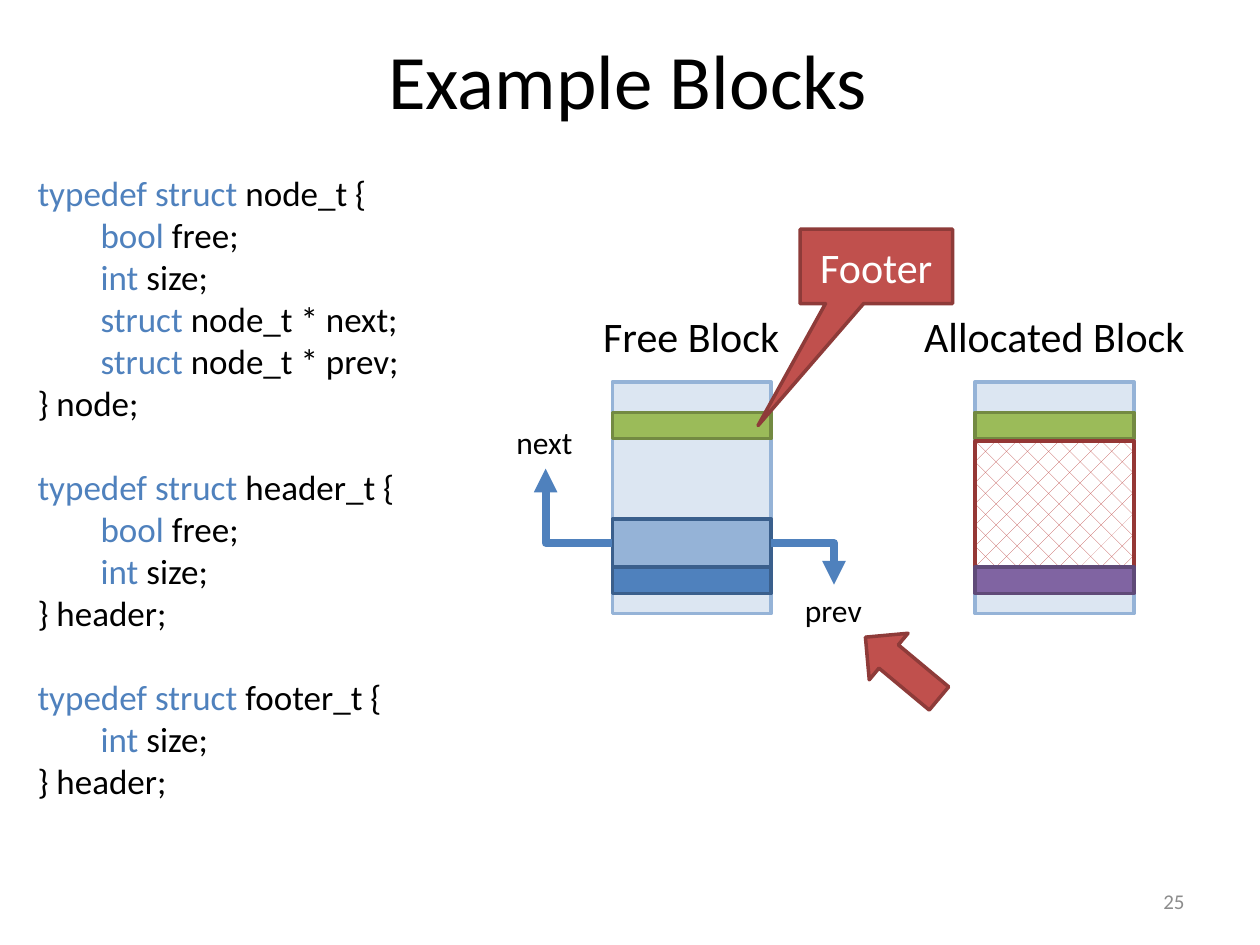
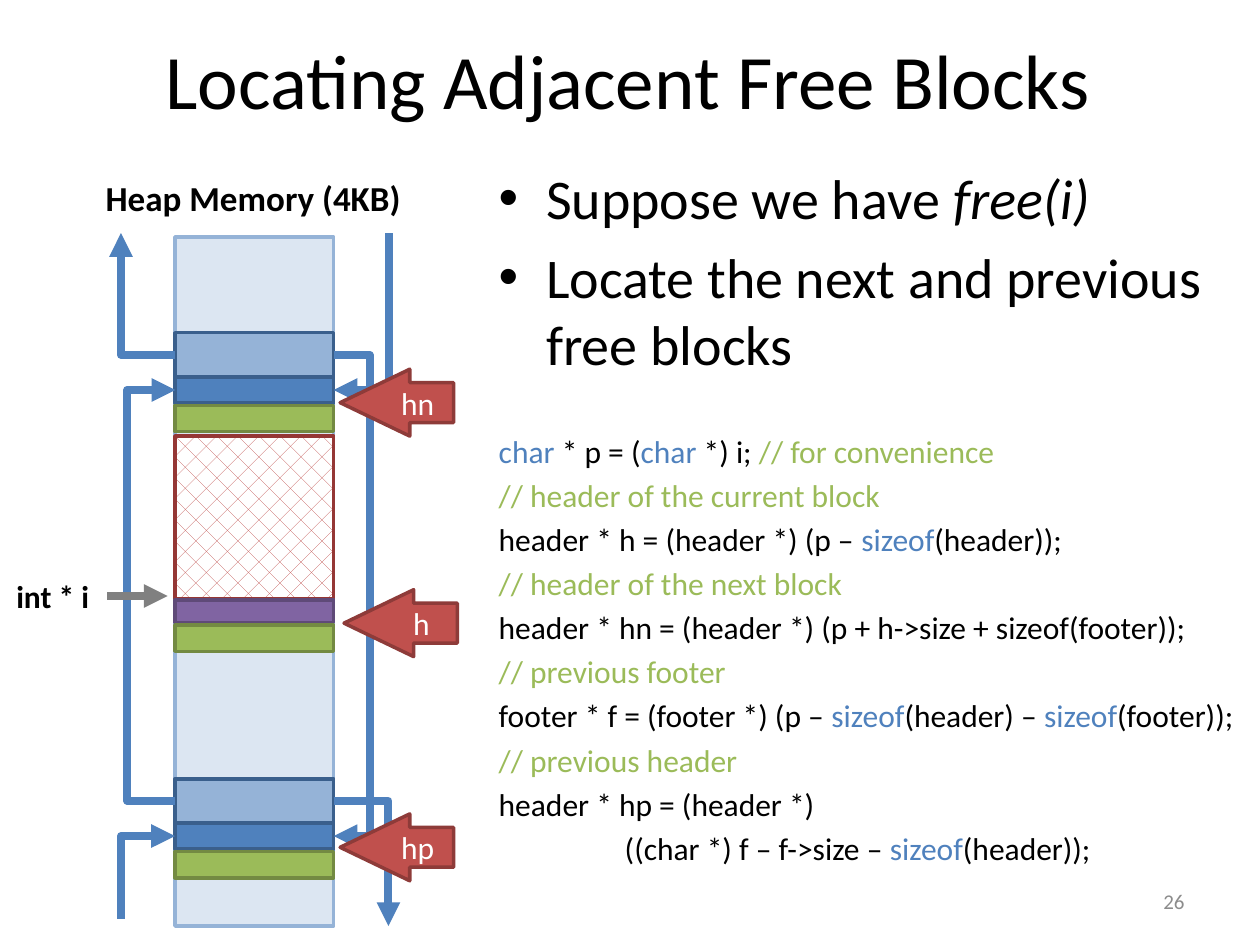
from dataclasses import dataclass
from typing import NamedTuple
from lxml import etree
from pptx import Presentation
from pptx.dml.color import RGBColor
from pptx.enum.dml import MSO_PATTERN
from pptx.enum.shapes import MSO_CONNECTOR, MSO_SHAPE
from pptx.enum.text import MSO_ANCHOR, PP_ALIGN
from pptx.oxml.ns import qn
from pptx.util import Pt

COLORS = {
    "black": "000000", "white": "FFFFFF", "number": "8C8C8C", "gray": "808080",
    "blue": "4F81BD", "green": "9BBB59", "red": "C0504D", "red_line": "8E3B39",
    "pale": "DCE6F2", "pale_line": "95B3D7", "blue_line": "3A5F8C",
    "green_line": "738A42", "hatch_line": "953735",
    "purple": "8064A2", "purple_line": "5F4A78",
}
FONT = "Calibri"
BLOCK_W = 90.7
THIN = 15.1
HEAP_X = 100
LEFT, RIGHT = 1, 3
KINDS = {
    "memory": ("pale", "pale_line"), "links": ("pale_line", "blue_line"),
    "header": ("blue", "blue_line"), "footer": ("green", "green_line"),
    "payload": ("red", "hatch_line"), "used": ("purple", "purple_line"),
}


class Run(NamedTuple):
    text: str
    color: str = "black"
    bold: bool = False
    italic: bool = False


@dataclass
class Para:
    runs: list
    size: float = 18
    before: float = 0
    left: float = 0
    bullet: bool = False
    align: PP_ALIGN = PP_ALIGN.LEFT


class Block(NamedTuple):
    kind: str
    x: float
    y: float
    h: float


class Label(NamedTuple):
    text: str
    x: float
    y: float
    w: float
    h: float
    size: float
    bold: bool = False
    align: PP_ALIGN = PP_ALIGN.LEFT


class Pointer(NamedTuple):
    text: str
    x: float
    y: float


def rgb(name: str) -> RGBColor:
    """Return a named colour."""
    return RGBColor.from_string(COLORS[name])


def write(tf, paras: list) -> None:
    """Fill a text frame with formatted paragraphs."""
    for i, para in enumerate(paras):
        p = tf.add_paragraph() if i else tf.paragraphs[0]
        p.alignment = para.align
        p.space_before = Pt(para.before)
        pPr = p._p.get_or_add_pPr()
        pPr.set("marL", str(Pt(para.left)))
        pPr.set("indent", str(Pt(-para.left if para.bullet else 0)))
        if para.bullet:
            etree.SubElement(pPr, qn("a:buFont")).set("typeface", "Arial")
            etree.SubElement(pPr, qn("a:buChar")).set("char", "•")
        for run in para.runs:
            r = p.add_run()
            r.text = run.text
            r.font.name, r.font.size = FONT, Pt(para.size)
            r.font.bold, r.font.italic = run.bold, run.italic
            r.font.color.rgb = rgb(run.color)


def add_text(s, x: float, y: float, w: float, h: float, paras: list,
             wrap: bool = True, anchor: MSO_ANCHOR = MSO_ANCHOR.TOP) -> None:
    """Add a text box."""
    tf = s.shapes.add_textbox(Pt(x), Pt(y), Pt(w), Pt(h)).text_frame
    tf.word_wrap, tf.vertical_anchor = wrap, anchor
    write(tf, paras)


def add_label(s, label: Label) -> None:
    """Add a one-line label."""
    run = Run(label.text, bold=label.bold)
    add_text(s, label.x, label.y, label.w, label.h,
             [Para([run], label.size, align=label.align)], wrap=False)


def add_shape(s, preset: MSO_SHAPE, x: float, y: float, w: float, h: float,
              fill: str, line: str):
    """Add a filled and outlined preset shape."""
    sp = s.shapes.add_shape(preset, Pt(x), Pt(y), Pt(w), Pt(h))
    sp.shadow.inherit = False
    sp.fill.solid()
    sp.fill.fore_color.rgb = rgb(fill)
    sp.line.color.rgb = rgb(line)
    sp.line.width = Pt(2)
    return sp


def add_block(s, block: Block):
    """Add one piece of memory."""
    sp = add_shape(s, MSO_SHAPE.RECTANGLE, block.x, block.y, BLOCK_W, block.h,
                   *KINDS[block.kind])
    if block.kind == "payload":
        sp.fill.patterned()
        sp.fill.pattern = MSO_PATTERN.DOTTED_DIAMOND
        sp.fill.fore_color.rgb = rgb("red")
        sp.fill.back_color.rgb = rgb("white")
    return sp


def add_callout(s, preset: MSO_SHAPE, x: float, y: float, w: float, h: float,
                text: str, size: float, adjustments: tuple) -> None:
    """Add a red shape with white centred text."""
    sp = add_shape(s, preset, x, y, w, h, "red", "red_line")
    for i, value in enumerate(adjustments):
        sp.adjustments[i] = value
    sp.text_frame.vertical_anchor = MSO_ANCHOR.MIDDLE
    write(sp.text_frame, [Para([Run(text, "white")], size, align=PP_ALIGN.CENTER)])


def style_arrow(c, color: str, end: str = "tailEnd") -> None:
    """Give a connector its line and arrowhead."""
    c.line.color.rgb = rgb(color)
    c.line.width = Pt(4.5)
    etree.SubElement(c.line._get_or_add_ln(), qn(f"a:{end}")).set("type", "triangle")
    etree.SubElement(c._element.spPr, qn("a:effectLst"))


def add_elbow(s, sp, side: int, x: float, y: float, end: str = "tailEnd") -> None:
    """Join the side of a block to a point with one bend."""
    start = sp.left + (sp.width if side == RIGHT else 0)
    c = s.shapes.add_connector(MSO_CONNECTOR.ELBOW, start,
                               sp.top + sp.height // 2, Pt(x), Pt(y))
    c.begin_connect(sp, side)
    c._element.spPr.find(qn("a:prstGeom")).set("prst", "bentConnector2")
    xfrm = c._element.spPr.find(qn("a:xfrm"))
    if xfrm.get("flipH") and xfrm.get("flipV"):
        del xfrm.attrib["flipH"], xfrm.attrib["flipV"]
        xfrm.set("rot", "10800000")
    style_arrow(c, "blue", end)


def add_loop(s, start, stop, side: int, reach: float) -> None:
    """Join the same side of two blocks with a loop."""
    x = start.left + (start.width if side == RIGHT else 0)
    c = s.shapes.add_connector(MSO_CONNECTOR.ELBOW, x, start.top + start.height // 2,
                               x, stop.top + stop.height // 2)
    c.begin_connect(start, side)
    c.end_connect(stop, side)
    width = 0.15
    c.width = Pt(width)
    xfrm = c._element.spPr.find(qn("a:xfrm"))
    xfrm.attrib.pop("flipV", None)
    xfrm.set("flipH", "1")
    if side == LEFT:
        xfrm.set("rot", "10800000")
    geom = c._element.spPr.find(qn("a:prstGeom"))
    guide = etree.SubElement(geom.find(qn("a:avLst")), qn("a:gd"))
    guide.set("name", "adj1")
    guide.set("fmla", f"val {round(-reach / width * 100000)}")
    style_arrow(c, "blue")


def add_slide(prs, title: str, number: int):
    """Add a blank slide with its title and number."""
    s = prs.slides.add_slide(prs.slide_layouts[6])
    add_text(s, 3.6, 0, 710.6, 90,
             [Para([Run(title)], 44, align=PP_ALIGN.CENTER)], anchor=MSO_ANCHOR.MIDDLE)
    add_text(s, 516, 500.5, 168, 28.8,
             [Para([Run(str(number), "number")], 12, align=PP_ALIGN.RIGHT)],
             anchor=MSO_ANCHOR.MIDDLE)
    return s


def struct(name: str, fields: list, closing: str, before: float = 0) -> list:
    """Return the lines of one struct definition."""
    opening = [Run("typedef struct ", "blue"), Run(name + " {")]
    return [Para(opening, 20, before),
            *(Para([Run(kind + " ", "blue"), Run(rest)], 20, left=36)
              for kind, rest in fields),
            Para([Run("} " + closing + ";")], 20)]


def example_blocks(prs) -> None:
    """Build the slide that compares a free and an allocated block."""
    s = add_slide(prs, "Example Blocks", 25)
    size, free = ("int", "size;"), ("bool", "free;")
    links = [("struct", "node_t * next;"), ("struct", "node_t * prev;")]
    add_text(s, 14.4, 94.3, 299.5, 395.3,
             struct("node_t", [free, size, *links], "node")
             + struct("header_t", [free, size], "header", 24)
             + struct("footer_t", [size], "header", 24))
    free_x, used_x = 350, 557.3
    for x in (free_x, used_x):
        add_block(s, Block("memory", x, 218.2, 132.5))
        add_block(s, Block("footer", x, 235.6, THIN))
    node = add_block(s, Block("links", free_x, 296.6, 27.4))
    for block in (Block("header", free_x, 324, THIN),
                  Block("payload", used_x, 252, 72),
                  Block("used", used_x, 324, THIN)):
        add_block(s, block)
    add_elbow(s, node, RIGHT, 476.6, 334.1)
    add_elbow(s, node, LEFT, 311.8, 267.8)
    for label in (Label("Free Block", 337, 174.2, 116, 36, 24, align=PP_ALIGN.CENTER),
                  Label("Allocated Block", 520, 174.2, 165, 36, 24, align=PP_ALIGN.CENTER),
                  Label("prev", 452.9, 334.1, 47.5, 28.8, 18),
                  Label("next", 288, 238.3, 46.8, 28.8, 18)):
        add_label(s, label)
    add_callout(s, MSO_SHAPE.RECTANGULAR_CALLOUT, 457.2, 131, 87.1, 42.5,
                "Footer", 24, (-0.776, 2.141))
    sp = add_shape(s, MSO_SHAPE.LEFT_ARROW, 488.2, 364.3, 54.7, 34.6, "red", "red_line")
    sp.rotation = 39.8


def locating_blocks(prs) -> None:
    """Build the slide that finds the neighbours of a block."""
    s = add_slide(prs, "Locating Adjacent Free Blocks", 26)
    add_block(s, Block("memory", HEAP_X, 135.4, 393.8))
    add_label(s, Label("Heap Memory (4KB)", 53.3, 97.2, 185, 31.7, 20, True))
    nodes = []
    for top in (190.1, 445):
        links = add_block(s, Block("links", HEAP_X, top, 25.2))
        header = add_block(s, Block("header", HEAP_X, top + 25.2, THIN))
        add_block(s, Block("footer", HEAP_X, top + 41.5, THIN))
        nodes.append((links, header))
    for block in (Block("payload", HEAP_X, 249.1, 93), Block("used", HEAP_X, 342.7, 13),
                  Block("footer", HEAP_X, 357.1, THIN)):
        add_block(s, block)
    (upper, upper_header), (lower, lower_header) = nodes
    add_elbow(s, lower, RIGHT, 222, 529.2)
    add_loop(s, lower, upper_header, LEFT, 29)
    add_loop(s, upper, lower_header, RIGHT, 21.6)
    add_elbow(s, upper, LEFT, 69.1, 133.2)
    add_elbow(s, lower_header, LEFT, 69.1, 524.9, "headEnd")
    add_elbow(s, upper_header, RIGHT, 222.5, 133.2, "headEnd")
    add_label(s, Label("int * i", 2.2, 326.2, 59, 28.8, 18, True))
    c = s.shapes.add_connector(MSO_CONNECTOR.STRAIGHT, Pt(61.2), Pt(340.6),
                               Pt(95.8), Pt(340.6))
    style_arrow(c, "gray")

    sizeof = Run("sizeof", "blue")
    char = Run("char", "blue")
    code = [
        [char, Run(" * p = ("), char, Run(" *) i; "), Run("// for convenience", "green")],
        [Run("// header of the current block", "green")],
        [Run("header * h = (header *) (p – "), sizeof, Run("(header));")],
        [Run("// header of the next block", "green")],
        [Run("header * hn = (header *) (p + h->size + sizeof(footer));")],
        [Run("// previous footer", "green")],
        [Run("footer * f = (footer *) (p – "), sizeof, Run("(header) – "), sizeof,
         Run("(footer));")],
        [Run("// previous header", "green")],
        [Run("header * hp = (header *)")],
        [Run("((char *) f – f->size – "), sizeof, Run("(header));")],
    ]
    bullets = [[Run("Suppose we have "), Run("free(i)", italic=True)],
               [Run("Locate the next and previous free blocks")]]
    paras = [Para(runs, 32, 6.4, 27, True) for runs in bullets]
    lines = [Para(runs, 18, 3.6) for runs in code]
    lines[0].before = 31.6
    lines[-1].left = 72
    add_text(s, 277.9, 90, 442.8, 439.2, paras + lines)
    for pointer in (Pointer("h", 196.6, 337), Pointer("hn", 194.4, 211),
                    Pointer("hp", 194.4, 465.1)):
        add_callout(s, MSO_SHAPE.LEFT_ARROW, pointer.x, pointer.y, 64.8, 38.2,
                    pointer.text, 18, (0.596, 1.041))


def main() -> None:
    """Build and save the presentation."""
    prs = Presentation()
    prs.slide_width, prs.slide_height = Pt(720), Pt(540)
    example_blocks(prs)
    locating_blocks(prs)
    prs.save("out.pptx")


main()
